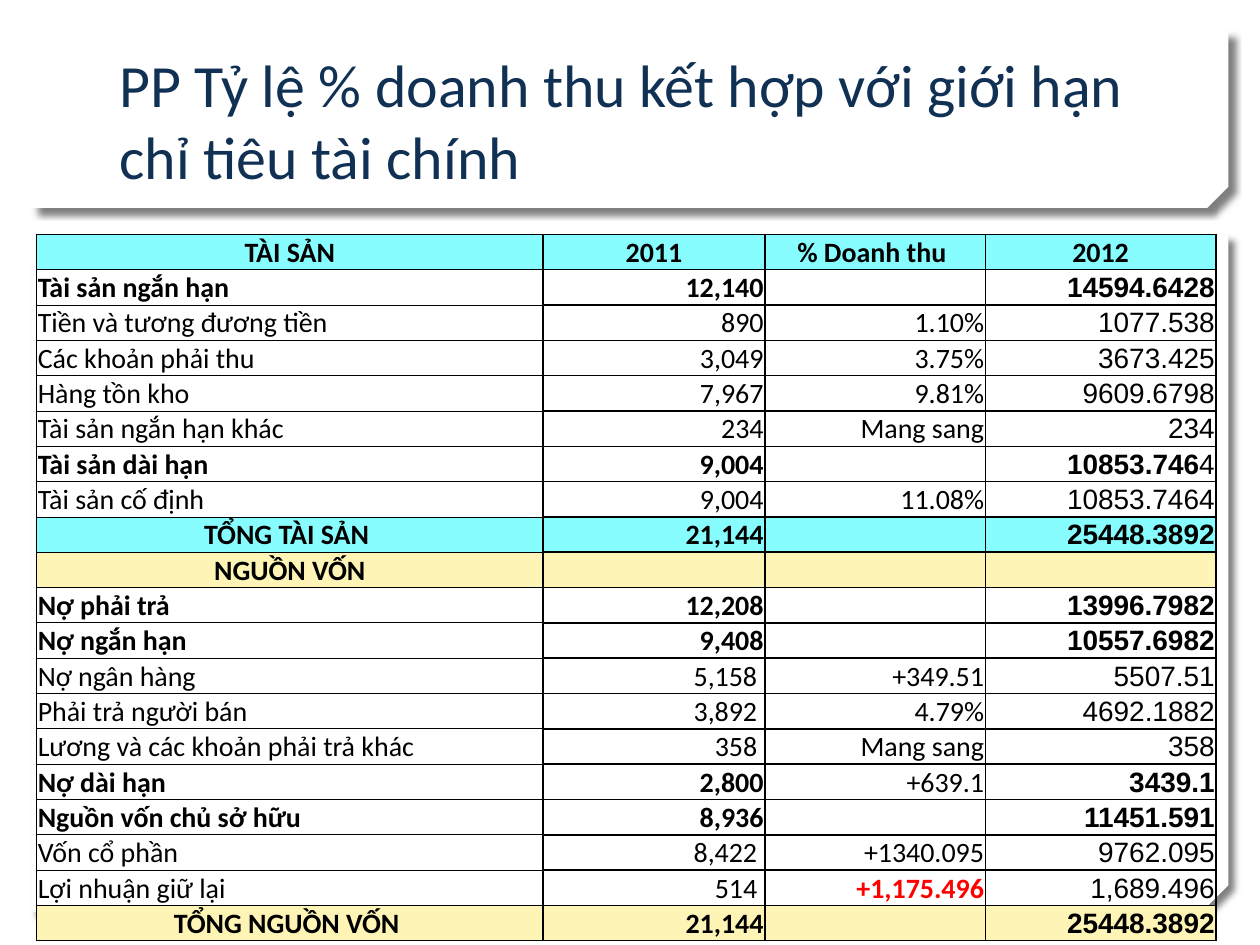
import pptx
import pptx.dml.color
import pptx.enum.shapes
import pptx.enum.text
import pptx.oxml
import pptx.oxml.ns
import pptx.util
from lxml import etree

UNIT = pptx.util.Inches(0.1)
TITLE_PANEL = (2.5, 2.5, 95, 14)
BODY_PANEL = (2.5, 18.7, 95, 53.7)
TITLE_BOX = (8.5, 3.2, 82.9, 12.5)
TABLE_BOX = (2.9, 18.6, 93.6, 56.1)
COLUMNS = (40.2, 17.6, 17.5, 18.3)
BLACK, WHITE, NAVY, RED = "000000", "FFFFFF", "103154", "FF0000"
CYAN, CREAM = "87FDFF", "FDF4B6"
LEFT, CENTER, RIGHT = (
    pptx.enum.text.PP_ALIGN.LEFT,
    pptx.enum.text.PP_ALIGN.CENTER,
    pptx.enum.text.PP_ALIGN.RIGHT,
)

ROWS = [
    ("TÀI SẢN", "2011", "% Doanh thu ", "2012"),
    ("Tài sản ngắn hạn", "12,140", "", "14594.6428"),
    ("Tiền và tương đương tiền", "890", "1.10%", "1077.538"),
    ("Các khoản phải thu", "3,049", "3.75%", "3673.425"),
    ("Hàng tồn kho", "7,967", "9.81%", "9609.6798"),
    ("Tài sản ngắn hạn khác", "234", "Mang sang", "234"),
    ("Tài sản dài hạn", "9,004", "", "10853.7464"),
    ("Tài sản cố định", "9,004", "11.08%", "10853.7464"),
    ("TỔNG TÀI SẢN ", "21,144", "", "25448.3892"),
    ("NGUỒN VỐN", "", "", ""),
    ("Nợ phải trả", "12,208", "", "13996.7982"),
    ("Nợ ngắn hạn", "9,408", "", "10557.6982"),
    ("Nợ ngân hàng", " 5,158 ", "+349.51", "5507.51"),
    ("Phải trả người bán", " 3,892 ", "4.79%", "4692.1882"),
    ("Lương và các khoản phải trả khác", " 358 ", "Mang sang", "358"),
    ("Nợ dài hạn", "2,800", "+639.1", "3439.1"),
    ("Nguồn vốn chủ sở hữu", "8,936", "", "11451.591"),
    ("Vốn cổ phần", " 8,422 ", "+1340.095", "9762.095"),
    ("Lợi nhuận giữ lại", " 514 ", "+1,175.496", "1,689.496"),
    ("TỔNG NGUỒN VỐN ", "21,144", "", "25448.3892"),
]
BAND_FILLS = {0: CYAN, 8: CYAN, 9: CREAM, 19: CREAM}
BOLD_ROWS = {*BAND_FILLS, 1, 6, 10, 11, 15, 16}
CELL_FORMATS = {(15, 2): {"bold": False}, (18, 2): {"bold": True, "color": RED}}
PARTLY_BOLD = {(6, 3): 9}


def rgb(value):
    """Turn a hex string into a colour."""
    return pptx.dml.color.RGBColor.from_string(value)


def place(box):
    """Convert a box in grid units to slide lengths."""
    return [round(part * UNIT) for part in box]


def add_text(paragraph, text, size=16, font="Calibri", color=BLACK, bold=False, align=LEFT):
    """Append a formatted run to a paragraph."""
    paragraph.alignment = align
    run = paragraph.add_run()
    run.text = text
    run.font.size = pptx.util.Pt(size)
    run.font.name = font
    run.font.bold = bold
    run.font.color.rgb = rgb(color)


def add_panel(slide, box, snip):
    """Draw a white panel with snipped corners and a soft shadow."""
    panel = slide.shapes.add_shape(
        pptx.enum.shapes.MSO_SHAPE.SNIP_2_DIAG_RECTANGLE, *place(box))
    panel.adjustments[0] = 0
    panel.adjustments[1] = snip
    panel.fill.solid()
    panel.fill.fore_color.rgb = rgb(WHITE)
    panel.line.fill.background()
    panel.shadow.inherit = False
    properties = panel._element.spPr
    properties.find(pptx.oxml.ns.qn("a:xfrm")).set("flipV", "1")
    effects = properties.find(pptx.oxml.ns.qn("a:effectLst"))
    shadow = etree.SubElement(
        effects, pptx.oxml.ns.qn("a:outerShdw"), blurRad=str(pptx.util.Pt(4)),
        dist=str(pptx.util.Pt(5)), dir="2700000", algn="tl", rotWithShape="0")
    color = etree.SubElement(shadow, pptx.oxml.ns.qn("a:srgbClr"), val=BLACK)
    etree.SubElement(color, pptx.oxml.ns.qn("a:alpha"), val="50000")


def add_title(slide, box):
    """Write the slide title at the bottom of its box."""
    frame = slide.shapes.add_textbox(*place(box)).text_frame
    frame.word_wrap = True
    frame.vertical_anchor = pptx.enum.text.MSO_ANCHOR.BOTTOM
    add_text(frame.paragraphs[0],
             "PP Tỷ lệ % doanh thu kết hợp với giới hạn chỉ tiêu tài chính",
             size=34.2, color=NAVY)


def set_borders(cell, widths):
    """Give a cell black borders, with widths in left, right, top, bottom order."""
    properties = cell._tc.get_or_add_tcPr()
    for side, width in zip("LRTB", widths):
        line = etree.SubElement(
            properties, pptx.oxml.ns.qn("a:ln" + side), w=str(pptx.util.Pt(width)))
        fill = etree.SubElement(line, pptx.oxml.ns.qn("a:solidFill"))
        etree.SubElement(fill, pptx.oxml.ns.qn("a:srgbClr"), val=BLACK)


def fill_cell(cell, row, column, text):
    """Style one table cell and write its text."""
    set_borders(cell, (1, 1, 1, 1) if column else (0.5, 1, 0.5, 0.5))
    if row in BAND_FILLS:
        cell.fill.solid()
        cell.fill.fore_color.rgb = rgb(BAND_FILLS[row])
    else:
        cell.fill.background()
    cell.margin_left = cell.margin_right = cell.margin_top = pptx.util.Inches(0.01)
    cell.margin_bottom = 0
    cell.vertical_anchor = pptx.enum.text.MSO_ANCHOR.MIDDLE
    paragraph = cell.text_frame.paragraphs[0]
    if not text:
        etree.SubElement(paragraph._p, pptx.oxml.ns.qn("a:endParaRPr"), sz="1600")
        return
    centered = row == 0 or (column == 0 and row in BAND_FILLS)
    style = {
        "font": "Arial" if column == 3 and row else "Calibri",
        "bold": row in BOLD_ROWS,
        "align": CENTER if centered else RIGHT if column else LEFT,
        **CELL_FORMATS.get((row, column), {}),
    }
    split = PARTLY_BOLD.get((row, column), len(text))
    add_text(paragraph, text[:split], **style)
    if text[split:]:
        add_text(paragraph, text[split:], **{**style, "bold": False})


def add_balance_table(slide, box):
    """Build the balance sheet forecast table."""
    table = slide.shapes.add_table(len(ROWS), len(COLUMNS), *place(box)).table
    table.first_row = table.horz_banding = False
    for column, width in zip(table.columns, COLUMNS):
        column.width = round(box[2] * UNIT * width / sum(COLUMNS))
    for row, texts in enumerate(ROWS):
        table.rows[row].height = round(box[3] * UNIT / len(ROWS))
        for column, text in enumerate(texts):
            fill_cell(table.cell(row, column), row, column, text)


def main():
    """Build and save the presentation."""
    presentation = pptx.Presentation()
    presentation.slide_width = 100 * UNIT
    presentation.slide_height = 75 * UNIT
    slide = presentation.slides.add_slide(presentation.slide_layouts[6])
    add_panel(slide, BODY_PANEL, 0.04)
    add_panel(slide, TITLE_PANEL, 0.12)
    add_title(slide, TITLE_BOX)
    add_balance_table(slide, TABLE_BOX)
    presentation.save("out.pptx")


if __name__ == "__main__":
    main()
